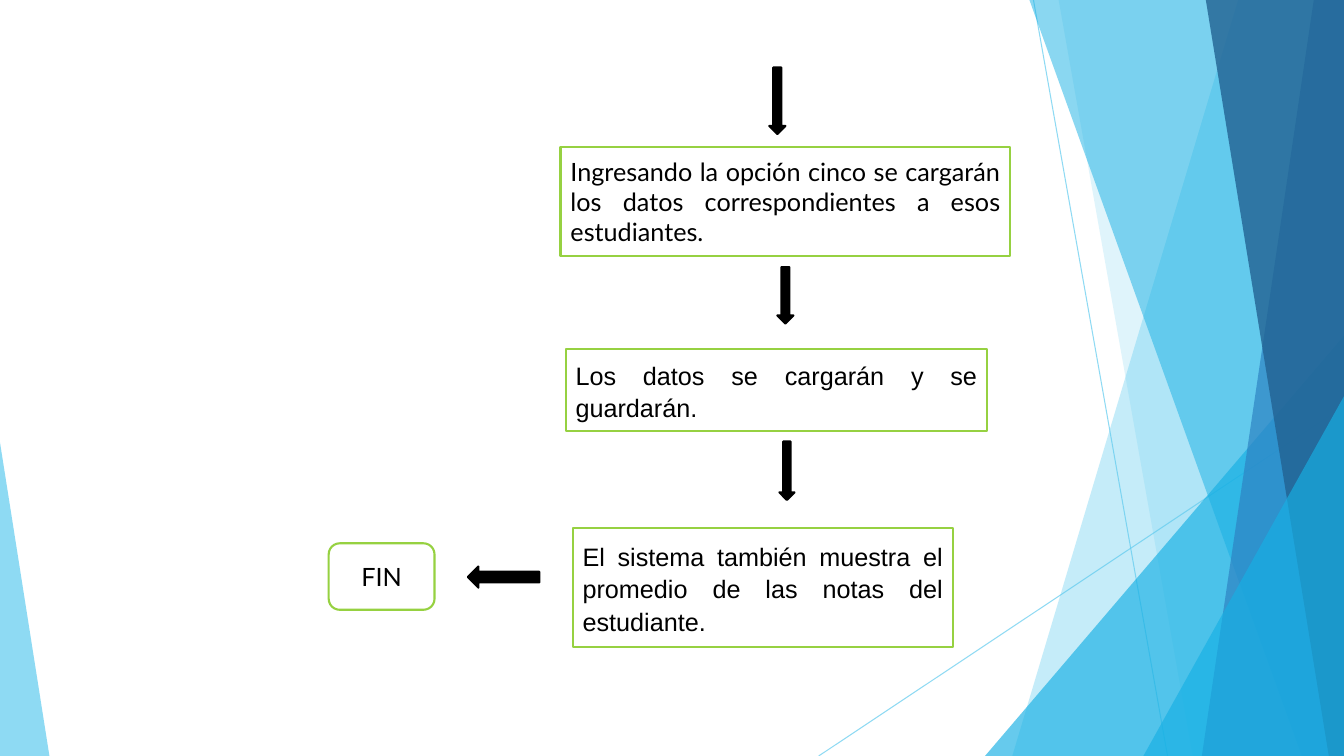
from lxml.etree import SubElement
from pptx import Presentation
from pptx.dml.color import RGBColor
from pptx.enum.shapes import MSO_CONNECTOR, MSO_SHAPE
from pptx.enum.text import MSO_ANCHOR, PP_ALIGN
from pptx.oxml.ns import qn
from pptx.util import Inches, Pt

SKY = RGBColor(0x5F, 0xCB, 0xEF)
CYAN = RGBColor(0x17, 0xB0, 0xE4)
BLUE = RGBColor(0x2E, 0x83, 0xC3)
NAVY = RGBColor(0x22, 0x62, 0x92)
GREEN = RGBColor(0x96, 0xD1, 0x41)
BLACK = RGBColor(0, 0, 0)
WHITE = RGBColor(0xFF, 0xFF, 0xFF)

WIDTH, HEIGHT = 13.33, 7.5

RAYS = [((10.25, 0), (11.58, HEIGHT)), ((WIDTH, 4.03), (8.12, HEIGHT))]

# top x, bottom x, colour, opacity
FACETS_BACK = [(12.28, 10.04, SKY, 36), (10.5, 11.83, SKY, 20)]
FACETS_FRONT = [
    (10.21, 12.91, CYAN, 50),
    (13.03, 11.92, BLUE, 70),
    (11.96, 13.18, NAVY, 80),
]

# left, top, width, apex position, colour, opacity
TRIANGLE_BACK = (9.77, 3.33, 3.56, 1, CYAN, 66)
TRIANGLES_FRONT = [(11.34, 3.93, 1.99, 1, CYAN, 66), (0, 4.39, 0.49, 0, SKY, 70)]

ARROWS = [
    (MSO_SHAPE.DOWN_ARROW, (7.63, 0.67, 0.16, 0.66)),
    (MSO_SHAPE.DOWN_ARROW, (7.71, 2.65, 0.16, 0.56)),
    (MSO_SHAPE.DOWN_ARROW, (7.73, 4.38, 0.15, 0.58)),
    (MSO_SHAPE.LEFT_ARROW, (4.64, 5.62, 0.71, 0.21)),
]

LATO = ("Lato", 1, 0)
ARIAL = ("Arial", 1.07, 8)
STEPS = [
    (MSO_SHAPE.RECTANGLE, (5.56, 1.46, 4.46, 1.08), LATO, PP_ALIGN.JUSTIFY,
     "Ingresando la opción cinco se cargarán los datos correspondientes a esos estudiantes."),
    (MSO_SHAPE.RECTANGLE, (5.61, 3.46, 4.18, 0.82), ARIAL, PP_ALIGN.JUSTIFY,
     "Los datos se cargarán y se guardarán."),
    (MSO_SHAPE.RECTANGLE, (5.68, 5.24, 3.77, 1.18), ARIAL, PP_ALIGN.JUSTIFY,
     "El sistema también muestra el promedio de las notas del estudiante."),
    (MSO_SHAPE.ROUNDED_RECTANGLE, (3.26, 5.39, 1.05, 0.66), LATO, PP_ALIGN.CENTER, "FIN"),
]


def set_opacity(element, percent):
    color = next(element.iter(qn("a:srgbClr")))
    SubElement(color, qn("a:alpha"), val=str(percent * 1000))


def paint(shape, fill, line=None, opacity=100):
    shape.shadow.inherit = False
    shape.fill.solid()
    shape.fill.fore_color.rgb = fill
    if opacity < 100:
        set_opacity(shape.fill._xPr, opacity)
    if line is None:
        shape.line.fill.background()
    else:
        shape.line.color.rgb = line
        shape.line.width = Pt(1.5)


def add_box(slide, kind, box):
    return slide.shapes.add_shape(kind, *map(Inches, box))


def add_ray(slide, start, end):
    ray = slide.shapes.add_connector(MSO_CONNECTOR.STRAIGHT, *map(Inches, start + end))
    ray.line.color.rgb = SKY
    ray.line.width = Pt(0.75)
    properties = ray._element.spPr
    set_opacity(properties, 70)
    SubElement(properties, qn("a:effectLst"))


def add_facet(slide, top, bottom, color, opacity):
    corners = [(top, 0), (WIDTH, 0), (WIDTH, HEIGHT), (bottom, HEIGHT)]
    points = [(Inches(x), Inches(y)) for x, y in corners]
    builder = slide.shapes.build_freeform(*points[0])
    builder.add_line_segments(points[1:], close=True)
    paint(builder.convert_to_shape(), color, opacity=opacity)


def add_triangle(slide, left, top, width, apex, color, opacity):
    triangle = add_box(slide, MSO_SHAPE.ISOSCELES_TRIANGLE, (left, top, width, HEIGHT - top))
    triangle.adjustments[0] = apex
    paint(triangle, color, opacity=opacity)


def add_step(slide, kind, box, style, alignment, text):
    font_name, line_spacing, space_after = style
    step = add_box(slide, kind, box)
    paint(step, WHITE, GREEN)
    frame = step.text_frame
    frame.word_wrap = True
    frame.vertical_anchor = MSO_ANCHOR.MIDDLE
    paragraph = frame.paragraphs[0]
    paragraph.alignment = alignment
    paragraph.line_spacing = line_spacing
    paragraph.space_after = Pt(space_after)
    run = paragraph.add_run()
    run.text = text
    run.font.name = font_name
    run.font.size = Pt(18)
    run.font.color.rgb = BLACK


def main():
    presentation = Presentation()
    presentation.slide_width = Inches(WIDTH)
    presentation.slide_height = Inches(HEIGHT)
    slide = presentation.slides.add_slide(presentation.slide_layouts[6])
    for start, end in RAYS:
        add_ray(slide, start, end)
    for facet in FACETS_BACK:
        add_facet(slide, *facet)
    add_triangle(slide, *TRIANGLE_BACK)
    for facet in FACETS_FRONT:
        add_facet(slide, *facet)
    for triangle in TRIANGLES_FRONT:
        add_triangle(slide, *triangle)
    for kind, box in ARROWS:
        paint(add_box(slide, kind, box), BLACK, BLACK)
    for step in STEPS:
        add_step(slide, *step)
    presentation.save("out.pptx")


if __name__ == "__main__":
    main()
